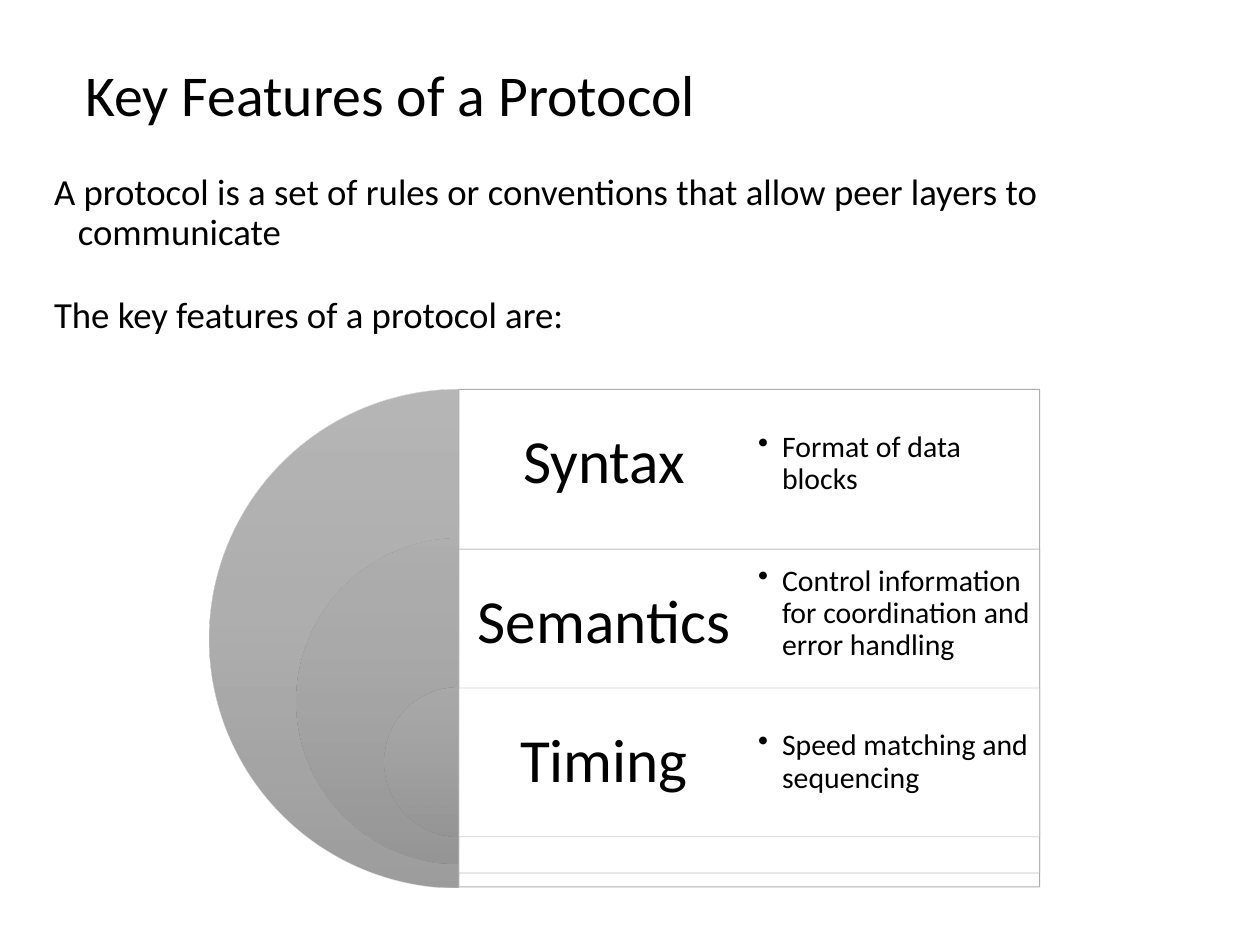
"""Build the slide on the key features of a protocol."""
from lxml import etree
from pptx import Presentation
from pptx.dml.color import RGBColor
from pptx.enum.shapes import MSO_SHAPE
from pptx.enum.text import MSO_ANCHOR, MSO_AUTO_SIZE, PP_ALIGN
from pptx.oxml.ns import qn
from pptx.util import Cm, Pt

LEFT, CENTER = PP_ALIGN.LEFT, PP_ALIGN.CENTER
MIDDLE, TOP = MSO_ANCHOR.MIDDLE, MSO_ANCHOR.TOP
PIE, RECT = MSO_SHAPE.CHORD.PIE, MSO_SHAPE.RECTANGLE
NO_FIT = MSO_AUTO_SIZE.NONE

FEATURES = [
    ("Syntax", "Format of data blocks", 10.03, 7.85, 7.85, 90),
    ("Semantics", "Control information for coordination and error handling",
     6.53, 10.87, 11.07, 70),
    ("Timing", "Speed matching and sequencing", 3, 13.87, 13.87, 50),
]
STOPS = [(0, "AFAFAF"), (50, "A5A5A5"), (100, "939393")]
PANEL_X, PANEL_W, ROW_H = 9.25, 11.71, 3
HANG = 0.48


def add_alpha(color, percent):
    """Give a colour element an opacity in percent."""
    etree.SubElement(color, qn("a:alpha"), val=str(percent * 1000))


def write(s, texts, size, align=LEFT, anchor=MIDDLE, inset=None, hang=0, bullet=False, gap=0):
    """Fill a shape with paragraphs in one style."""
    tf = s.text_frame
    tf.word_wrap, tf.auto_size, tf.vertical_anchor = True, NO_FIT, anchor
    if inset is not None:
        tf.margin_left = tf.margin_right = tf.margin_top = tf.margin_bottom = Cm(inset)
    for i, text in enumerate(texts):
        p = tf.paragraphs[0] if i == 0 else tf.add_paragraph()
        pPr = p._p.get_or_add_pPr()
        if hang:
            pPr.set("marL", str(Cm(hang)))
            pPr.set("indent", str(-Cm(hang)))
        if bullet:
            etree.SubElement(pPr, qn("a:buChar"), char="•")
        p.alignment, p.line_spacing = align, 0.9
        if i:
            p.space_before = Pt(gap)
        r = p.add_run()
        r.text = text
        r.font.size, r.font.name = Pt(size), "Calibri"
        r.font.color.rgb = RGBColor.from_string("000000")


prs = Presentation()
prs.slide_width, prs.slide_height = Cm(25.4), Cm(19.05)
slide = prs.slides.add_slide(prs.slide_layouts[5])
shapes = slide.shapes

title = shapes.title
title.left, title.top, title.width, title.height = Cm(1.47), Cm(0.64), Cm(22.86), Cm(2.67)
write(title, ["Key Features of a Protocol"], 33)

intro = shapes.add_textbox(Cm(0.84), Cm(3.38), Cm(23.7), Cm(4.24))
write(intro, ["A protocol is a set of rules or conventions that allow peer layers to communicate",
              "The key features of a protocol are:"], 21, anchor=TOP, hang=HANG, gap=25)

for name, detail, size, pie_y, panel_y, opacity in FEATURES:
    pie = shapes.add_shape(PIE, Cm(PANEL_X - size / 2), Cm(pie_y), Cm(size), Cm(size))
    pie.adjustments[0], pie.adjustments[1] = 54, 162
    pie.shadow.inherit = False
    pie.line.fill.background()
    pie.fill.gradient()
    grad = pie._element.spPr.find(qn("a:gradFill"))
    stops = grad.find(qn("a:gsLst"))
    for old in list(stops):
        stops.remove(old)
    for pos, color in STOPS:
        stop = etree.SubElement(stops, qn("a:gs"), pos=str(pos * 1000))
        add_alpha(etree.SubElement(stop, qn("a:srgbClr"), val=color), opacity)
    grad.find(qn("a:lin")).set("ang", "5400000")

    panel = shapes.add_shape(RECT, Cm(PANEL_X), Cm(panel_y), Cm(PANEL_W), Cm(size))
    panel.shadow.inherit = False
    panel.fill.solid()
    panel.fill.fore_color.rgb = RGBColor.from_string("FFFFFF")
    panel.line.color.rgb = RGBColor.from_string("A5A5A5")
    panel.line.width = Pt(0.5)
    fill_color, line_color = panel._element.spPr.iter(qn("a:srgbClr"))
    add_alpha(fill_color, 90)
    add_alpha(line_color, opacity)

    label = shapes.add_textbox(Cm(PANEL_X), Cm(panel_y), Cm(PANEL_W / 2), Cm(ROW_H))
    write(label, [name], 35, align=CENTER, inset=0.38)

for name, detail, size, pie_y, panel_y, opacity in FEATURES:
    note = shapes.add_textbox(Cm(PANEL_X + PANEL_W / 2), Cm(pie_y), Cm(PANEL_W / 2), Cm(ROW_H))
    write(note, [detail], 17, inset=0.18, hang=HANG, bullet=True)

prs.save("out.pptx")
